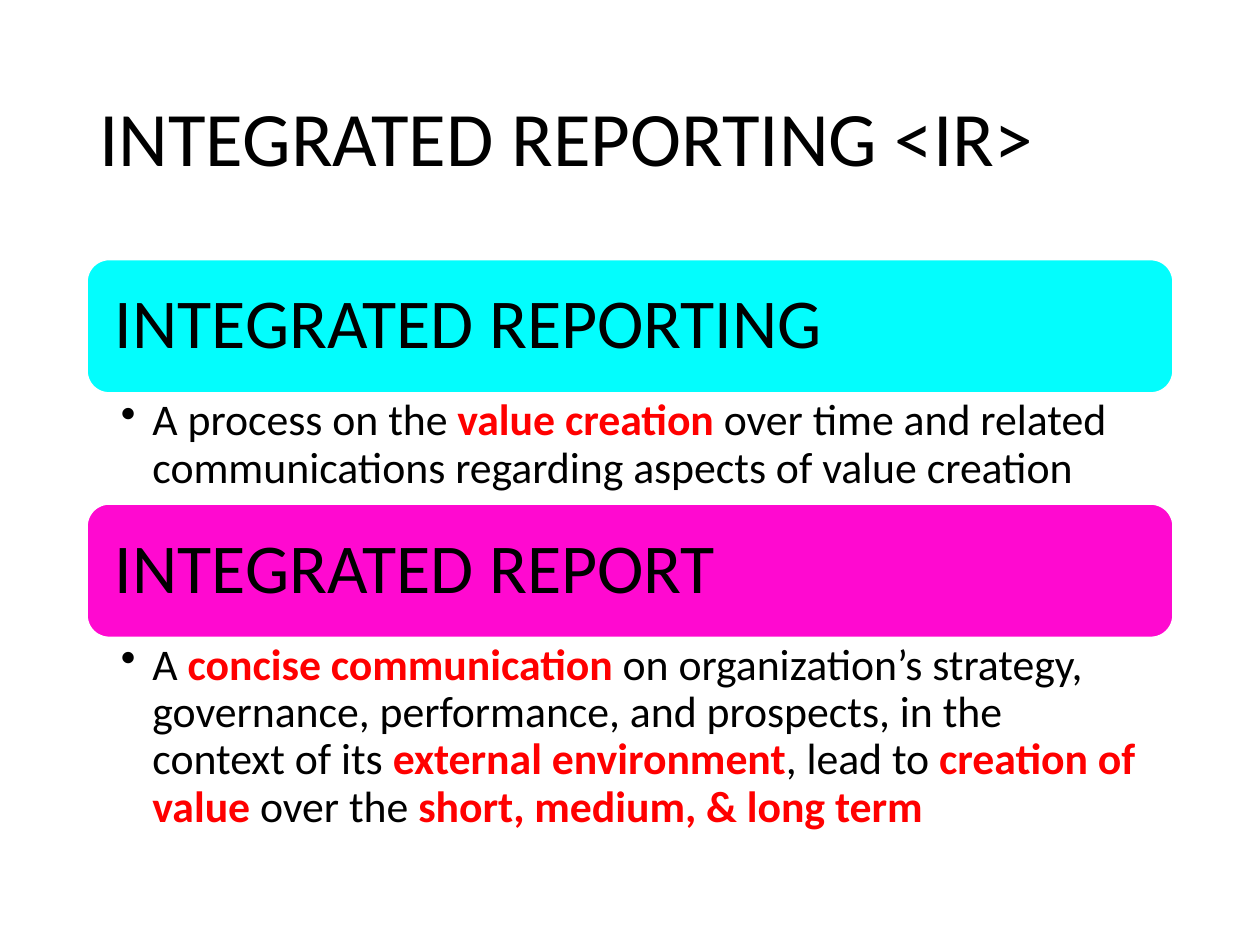
from dataclasses import dataclass
from typing import Any

from lxml import etree
from pptx import Presentation
from pptx import util as u
from pptx.dml.color import RGBColor
from pptx.enum import shapes, text
from pptx.oxml.ns import qn

COLUMNS, ROWS = 100, 75
LEFT, WIDTH = 6.9, 86.2
BAND_TOP, BAND_HEIGHT = 20.6, 10.6
SECTIONS = [
    ("INTEGRATED REPORTING", "03FDFD", 8.8,
     ["A process on the ", "value creation ",
      "over time and related communications regarding aspects of value creation"]),
    ("INTEGRATED REPORT", "FF09D0", 16.3,
     ["A ", "concise communication ",
      "on organization’s strategy, governance, performance, and prospects, in the context of its ",
      "external environment", ", lead to ", "creation of value", " over the ",
      "short, medium, & long term"]),
]


def color(value):
    return RGBColor.from_string(value)


@dataclass
class SlideBuilder:
    """Draws styled elements on a page measured in grid columns and rows."""
    deck: Any
    page: Any
    font: str = "Calibri"
    ink: str = "000000"
    accent: str = "FF0000"
    paper: str = "FFFFFF"

    def place(self, top, height):
        column, row = self.deck.slide_width / COLUMNS, self.deck.slide_height / ROWS
        return [round(n) for n in (LEFT * column, top * row, WIDTH * column, height * row)]

    def fill_text(self, shape, parts, size, insets, anchor):
        frame = shape.text_frame
        frame.word_wrap = True
        frame.vertical_anchor = anchor
        frame.margin_left, frame.margin_top, frame.margin_right, frame.margin_bottom = map(u.Inches, insets)
        para = frame.paragraphs[0]
        para.alignment = text.PP_ALIGN.LEFT
        para.line_spacing = 0.9
        para.font.name, para.font.size = self.font, u.Pt(size)
        for index, part in enumerate(parts):
            span = para.add_run()
            span.text = part
            span.font.bold = index % 2 == 1
            span.font.color.rgb = color(self.accent if span.font.bold else self.ink)
        return para

    def title(self, words, top, height):
        box = self.page.shapes.add_textbox(*self.place(top, height))
        self.fill_text(box, [words], 44, (0.1, 0.05, 0.1, 0.05), text.MSO_ANCHOR.MIDDLE)

    def band(self, words, fill, top, height):
        box = self.page.shapes.add_shape(shapes.MSO_SHAPE.ROUNDED_RECTANGLE, *self.place(top, height))
        box.shadow.inherit = False
        box.fill.solid()
        box.fill.fore_color.rgb = color(fill)
        box.line.color.rgb = color(self.paper)
        box.line.width = u.Pt(1)
        self.fill_text(box, [words], 40, (0.17,) * 4, text.MSO_ANCHOR.MIDDLE)

    def bullet(self, parts, top, height):
        box = self.page.shapes.add_textbox(*self.place(top, height))
        para = self.fill_text(box, parts, 25, (0.27, 0.04, 0.25, 0.04), text.MSO_ANCHOR.TOP)
        properties = para._p.get_or_add_pPr()
        properties.set("marL", str(u.Inches(0.25)))
        properties.set("indent", str(-u.Inches(0.25)))
        mark = etree.Element(qn("a:buChar"), char="•")
        properties.find(qn("a:lnSpc")).addnext(mark)


def main():
    deck = Presentation()
    deck.slide_width, deck.slide_height = u.Inches(10), u.Inches(7.5)
    builder = SlideBuilder(deck, deck.slides.add_slide(deck.slide_layouts[6]))
    builder.title("INTEGRATED REPORTING <IR>", 4, 14.5)
    top = BAND_TOP
    for heading, fill, height, parts in SECTIONS:
        builder.band(heading, fill, top, BAND_HEIGHT)
        builder.bullet(parts, top + BAND_HEIGHT, height)
        top += BAND_HEIGHT + height
    deck.save("out.pptx")


if __name__ == "__main__":
    main()
